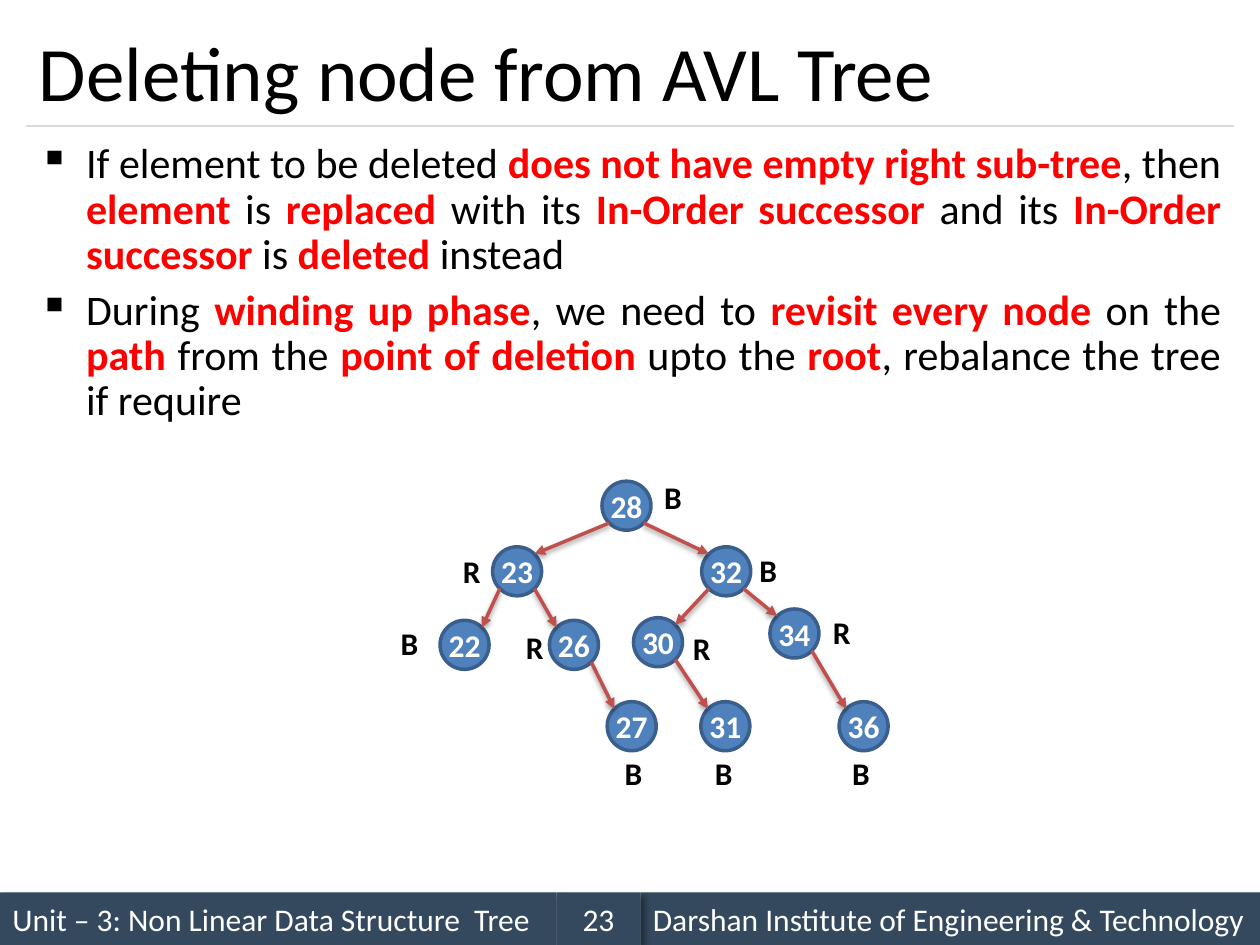
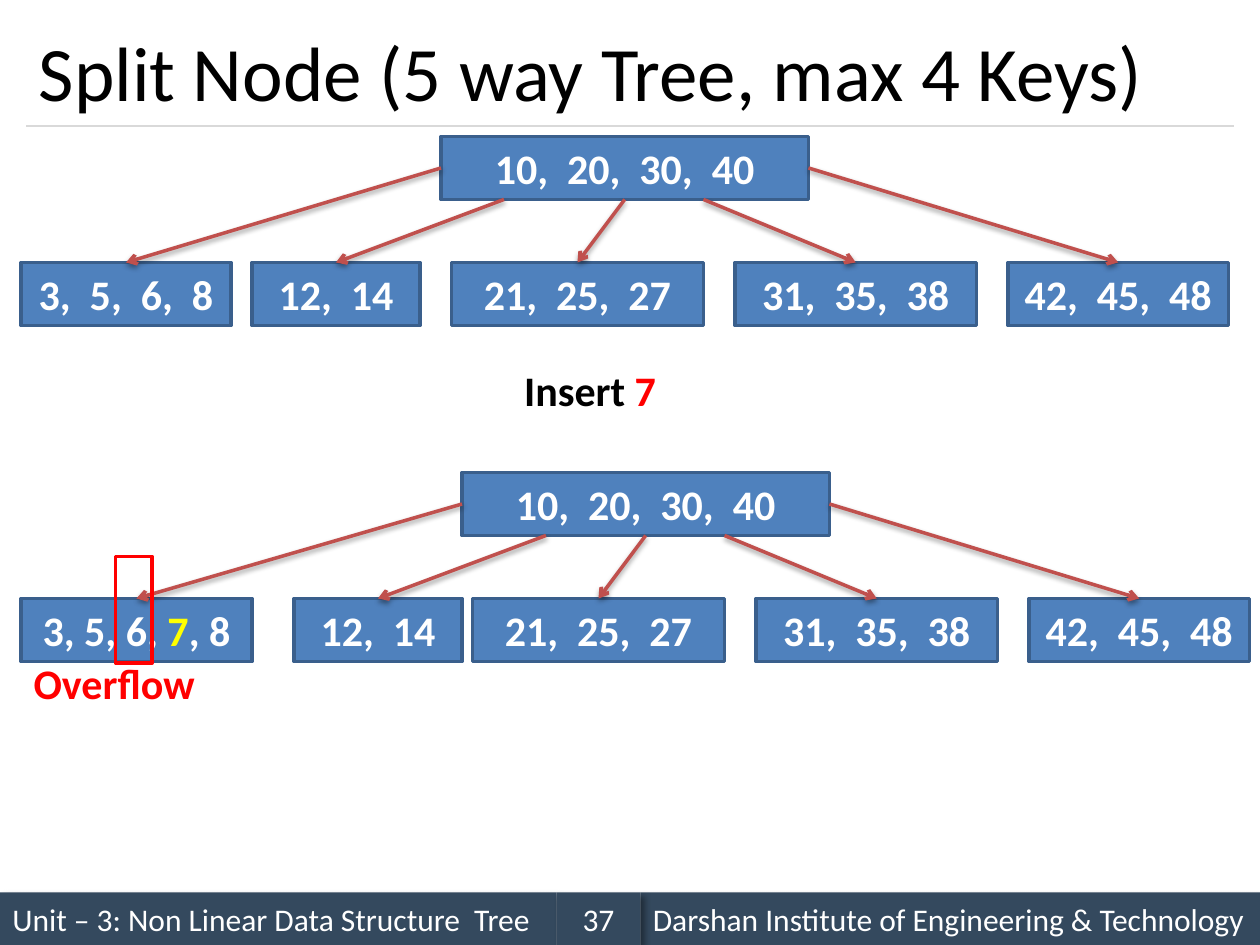
from math import sqrt

from lxml import etree
from pptx import Presentation
from pptx.dml.color import RGBColor
from pptx.enum.shapes import MSO_CONNECTOR, MSO_SHAPE
from pptx.enum.text import MSO_ANCHOR, PP_ALIGN
from pptx.oxml.ns import qn
from pptx.util import Pt

STRAIGHT = MSO_CONNECTOR.STRAIGHT
RECTANGLE, OVAL = MSO_SHAPE.RECTANGLE, MSO_SHAPE.OVAL
TOP, MIDDLE = MSO_ANCHOR.TOP, MSO_ANCHOR.MIDDLE
LEFT, CENTER, JUSTIFY = PP_ALIGN.LEFT, PP_ALIGN.CENTER, PP_ALIGN.JUSTIFY
SIDE_TOP, SIDE_LEFT, SIDE_BOTTOM, SIDE_RIGHT = range(4)

BLACK = RGBColor(0x00, 0x00, 0x00)
WHITE = RGBColor(0xFF, 0xFF, 0xFF)
RED = RGBColor(0xFF, 0x00, 0x00)
YELLOW = RGBColor(0xFF, 0xFF, 0x00)
SLATE = RGBColor(0x34, 0x49, 0x5E)
RULE_GRAY = RGBColor(0xD9, 0xD9, 0xD9)
NODE_BLUE = RGBColor(0x4F, 0x81, 0xBD)
NODE_EDGE = RGBColor(0x3A, 0x5F, 0x8C)
ARROW_RED = RGBColor(0xC0, 0x50, 0x4D)

# Shadows: opacity %, blur, distance, direction in degrees
BAND_SHADOW = (40, 4, 3, 45)
ARROW_SHADOW = (38, 3.1, 1.6, 90)

RADIUS = 14
BOX_HEIGHT = 36

RULES = [
    "If element to be deleted *does not have empty right sub-tree*, then "
    "*element* is *replaced* with its *In-Order successor* and its "
    "*In-Order successor* is *deleted* instead",
    "During *winding up phase*, we need to *revisit every node* on the "
    "*path* from the *point of deletion* upto the *root*, rebalance the "
    "tree if require",
]

# AVL tree: key -> (node centre, balance label, label centre)
AVL_NODES = {
    28: ((358, 289), "B", (384.5, 284)),
    23: ((295.5, 326.5), "R", (269.5, 326.5)),
    22: ((265.5, 368.5), "B", (234, 367.5)),
    26: ((328, 368.5), "R", (305.5, 369.5)),
    27: ((361, 415), "B", (362, 441.5)),
    32: ((415, 326.5), "B", (439, 325.5)),
    30: ((376, 367), "R", (401, 370)),
    34: ((454, 362), "R", (481, 361)),
    31: ((414.5, 415), "B", (413.5, 441.5)),
    36: ((493.5, 415), "B", (492, 441.5)),
}
AVL_EDGES = [(28, 23), (28, 32), (23, 22), (23, 26), (32, 30), (32, 34),
             (26, 27), (30, 31), (34, 36)]


class Deck:
    def __init__(self):
        self.deck = Presentation()
        self.deck.slide_width, self.deck.slide_height = Pt(720), Pt(540)
        self.font = "Calibri"
        self.page = None

    def new_page(self, title, number):
        self.page = self.deck.slides.add_slide(self.deck.slide_layouts[5])
        # Title and rule
        box = self.page.shapes.title
        box.left, box.top, box.width, box.height = Pt(15), Pt(9), Pt(690), Pt(63)
        box.text_frame.vertical_anchor = MIDDLE
        box.text_frame.word_wrap = True
        self.add_spans(box.text_frame.paragraphs[0], title, 44)
        self.line((15, 72), (705, 72), RULE_GRAY, 0.75)
        # Footer bands
        self.band(0, 318, "Unit – 3: Non Linear Data Structure  Tree")
        self.band(366, 354, "Darshan Institute of Engineering & Technology")
        self.band(318, 48, str(number), CENTER)

    def add_spans(self, para, marked, size, color=BLACK, bold=False,
                  accent=RED, align=LEFT):
        """Add text whose *starred* parts are bold in the accent colour."""
        para.alignment = align
        for index, piece in enumerate(marked.split("*")):
            if not piece:
                continue
            span = para.add_run()
            span.text = piece
            starred = index % 2 == 1
            span.font.name, span.font.size = self.font, Pt(size)
            span.font.bold = bold or starred
            span.font.color.rgb = accent if starred else color

    def shadow(self, item, opacity, blur, distance, angle):
        properties = item._element.spPr
        effects = properties.find(qn("a:effectLst"))
        outer = etree.SubElement(
            effects, qn("a:outerShdw"), blurRad=str(Pt(blur)),
            dist=str(Pt(distance)), dir=str(angle * 60000),
            algn="tl", rotWithShape="0")
        tint = etree.SubElement(outer, qn("a:srgbClr"), val="000000")
        etree.SubElement(tint, qn("a:alpha"), val=str(opacity * 1000))

    def shape(self, kind, left, top, width, height, fill=None, edge=None):
        box = self.page.shapes.add_shape(
            kind, Pt(left), Pt(top), Pt(width), Pt(height))
        if fill is None:
            box.fill.background()
        else:
            box.fill.solid()
            box.fill.fore_color.rgb = fill
        if edge is None:
            box.line.fill.background()
        else:
            box.line.color.rgb, box.line.width = edge, Pt(2)
        box.shadow.inherit = False
        box.text_frame.vertical_anchor = MIDDLE
        return box

    def band(self, left, width, text, align=LEFT):
        box = self.shape(RECTANGLE, left, 510, width, 30, SLATE)
        self.shadow(box, *BAND_SHADOW)
        self.add_spans(box.text_frame.paragraphs[0], text, 18, WHITE,
                       align=align)

    def text(self, left, top, width, height, anchor=TOP):
        frame = self.page.shapes.add_textbox(
            Pt(left), Pt(top), Pt(width), Pt(height)).text_frame
        frame.word_wrap = True
        frame.vertical_anchor = anchor
        self.clear_margins(frame)
        return frame

    def clear_margins(self, frame):
        frame.margin_left = frame.margin_right = 0
        frame.margin_top = frame.margin_bottom = 0

    def label(self, left, top, width, marked, size=24, color=BLACK, align=LEFT):
        frame = self.text(left, top, width, size * 1.25, MIDDLE)
        self.add_spans(frame.paragraphs[0], marked, size, color, True,
                       align=align)

    def bullets(self, left, top, width, height, items):
        frame = self.text(left, top, width, height)
        for index, item in enumerate(items):
            para = frame.add_paragraph() if index else frame.paragraphs[0]
            properties = para._p.get_or_add_pPr()
            properties.set("marL", str(Pt(27)))
            properties.set("indent", str(-Pt(27)))
            etree.SubElement(properties, qn("a:buChar"), char="▪")
            para.line_spacing = 0.9
            if index:
                para.space_before = Pt(6)
            self.add_spans(para, item, 24, align=JUSTIFY)

    def line(self, start, end, color, width):
        line = self.page.shapes.add_connector(
            STRAIGHT, *(Pt(value) for value in (*start, *end)))
        line.line.color.rgb, line.line.width = color, Pt(width)
        etree.SubElement(line._element.spPr, qn("a:effectLst"))
        return line

    def arrow(self, start, end, head):
        arrow = self.line(start, end, ARROW_RED, 2)
        outline = arrow._element.spPr.find(qn("a:ln"))
        etree.SubElement(outline, qn("a:tailEnd"), type=head)
        self.shadow(arrow, *ARROW_SHADOW)
        return arrow

    def circle(self, center, key):
        x, y = center
        node = self.shape(OVAL, x - RADIUS, y - RADIUS, 2 * RADIUS, 2 * RADIUS,
                          NODE_BLUE, NODE_EDGE)
        frame = node.text_frame
        frame.word_wrap = False
        self.clear_margins(frame)
        self.add_spans(frame.paragraphs[0], str(key), 18, WHITE, True,
                       align=CENTER)

    def key_box(self, left, top, width, keys):
        box = self.shape(RECTANGLE, left, top, width, BOX_HEIGHT,
                         NODE_BLUE, NODE_EDGE)
        self.add_spans(box.text_frame.paragraphs[0], keys, 24, WHITE, True,
                       YELLOW, CENTER)
        return box

    def key_tree(self, left, top, second_start, children):
        """Draw a root with five children; second_start is measured from left."""
        root = self.key_box(left, top, 210, "10,  20,  30,  40")
        child_top = top + 72
        boxes = [self.key_box(x, child_top, width, keys)
                 for x, width, keys in children]
        side, bottom = top + BOX_HEIGHT / 2, top + BOX_HEIGHT
        starts = [
            (left, side, SIDE_LEFT),
            (left + second_start, bottom, None),
            (left + 105, bottom, SIDE_BOTTOM),
            (left + 150, bottom, None),
            (left + 210, side, SIDE_RIGHT),
        ]
        for (x, y, root_side), box, child in zip(starts, boxes, children):
            end = (child[0] + child[1] / 2, child_top)
            arrow = self.arrow((x, y), end, "arrow")
            if root_side is not None:
                arrow.begin_connect(root, root_side)
            arrow.end_connect(box, SIDE_TOP)


def build_avl_page(deck):
    deck.new_page("Deleting node from AVL Tree", 23)
    deck.bullets(22.2, 81.4, 675.6, 167, RULES)
    # Tree nodes
    for key, (center, _, _) in AVL_NODES.items():
        deck.circle(center, key)
    # Edges run between the diagonal points of the circles
    reach = RADIUS / sqrt(2)
    for parent, child in AVL_EDGES:
        (x1, y1), (x2, y2) = AVL_NODES[parent][0], AVL_NODES[child][0]
        step = reach if x2 > x1 else -reach
        deck.arrow((x1 + step, y1 + reach), (x2 - step, y2 - reach), "triangle")
    # Balance labels
    for _, letter, (x, y) in AVL_NODES.values():
        deck.label(x - 12, y - 11.25, 24, letter, 18, align=CENTER)


def build_split_page(deck):
    deck.new_page("Split Node (5 way Tree, max 4 Keys)", 37)
    # Before the insertion
    deck.key_tree(252, 78, 36, [
        (12, 120, "3,  5,  6,  8"),
        (144, 96, "12,  14"),
        (258, 144, "21,  25,  27"),
        (420, 138, "31,  35,  38"),
        (576, 126, "42,  45,  48"),
    ])
    deck.label(299.5, 207.5, 100, "Insert *7*")
    # After the insertion
    deck.key_tree(264, 270, 48, [
        (12, 132, "3, 5, 6, *7*, 8"),
        (168, 96, "12,  14"),
        (270, 144, "21,  25,  27"),
        (432, 138, "31,  35,  38"),
        (588, 126, "42,  45,  48"),
    ])
    deck.label(19.2, 375, 110, "Overflow", color=RED)
    deck.shape(RECTANGLE, 66, 318, 21, 61, edge=RED)


def main():
    deck = Deck()
    build_avl_page(deck)
    build_split_page(deck)
    deck.deck.save("out.pptx")


if __name__ == "__main__":
    main()
